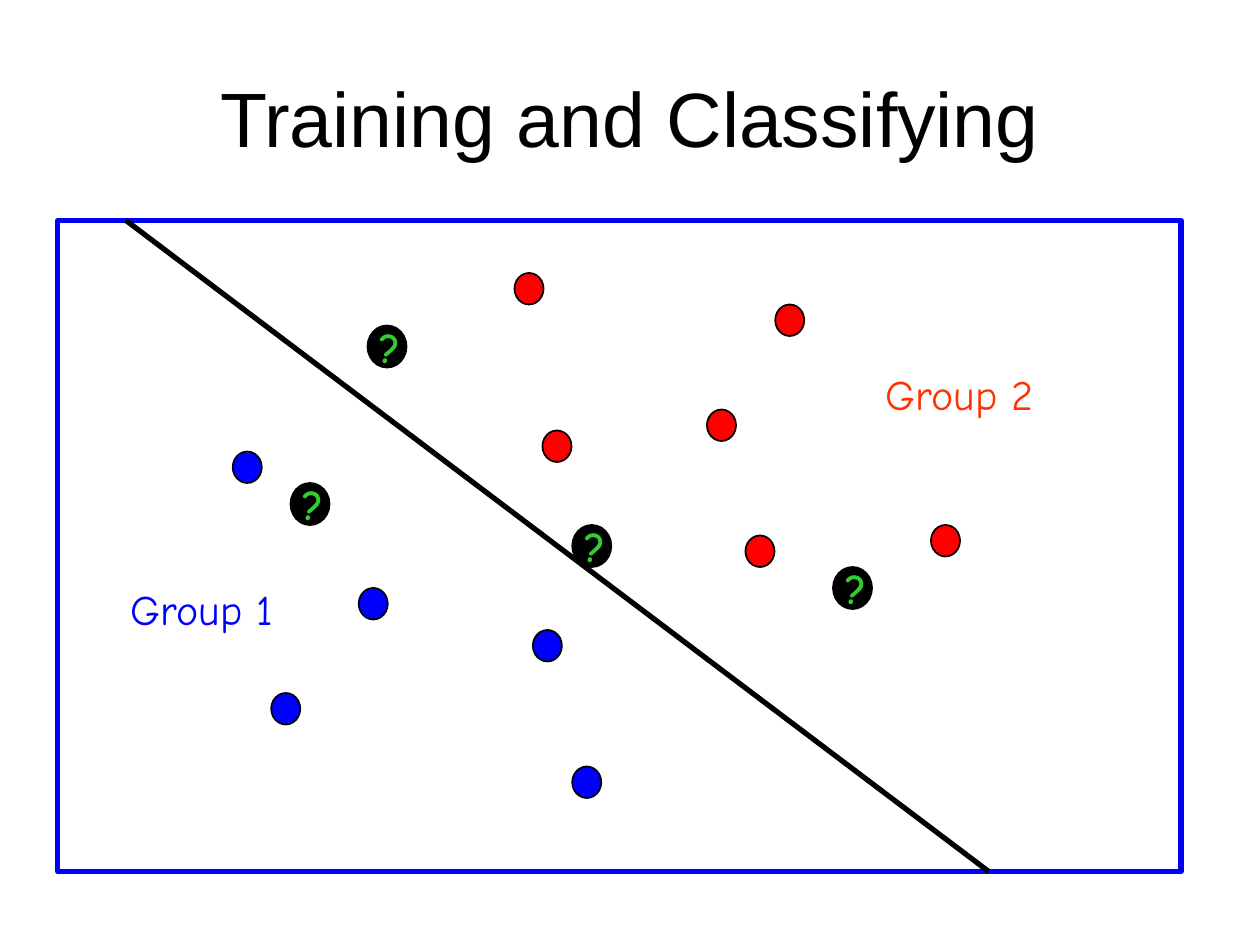
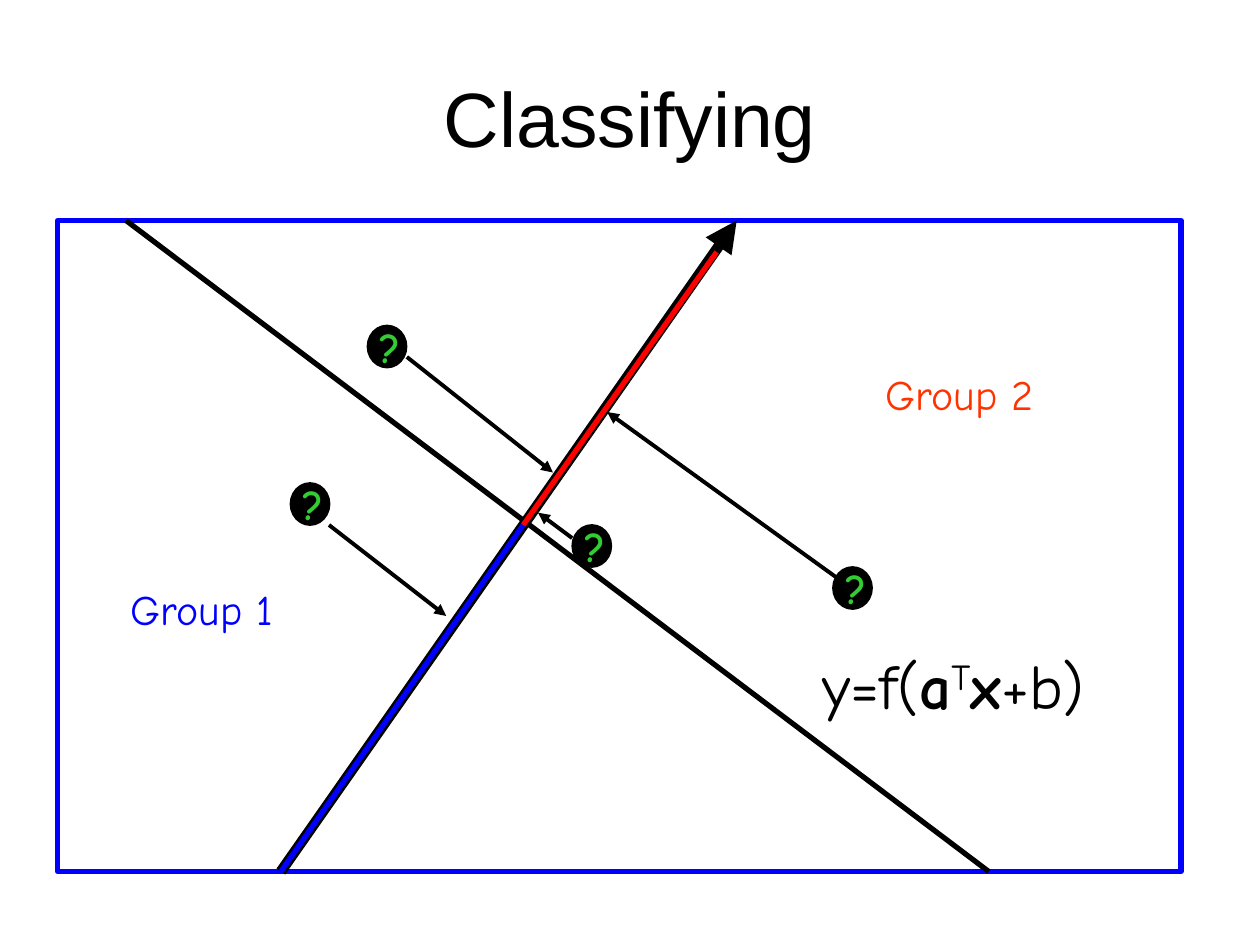
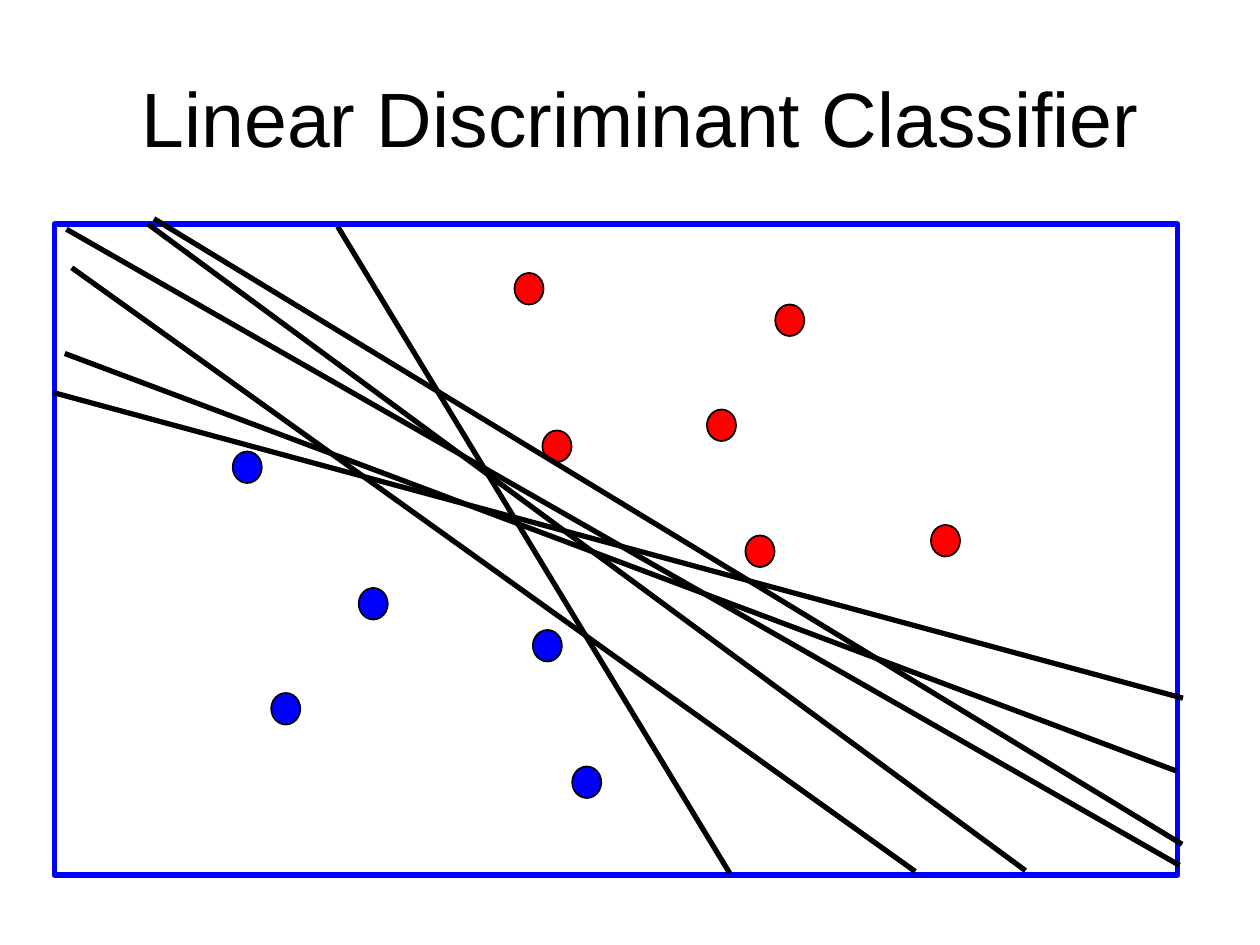
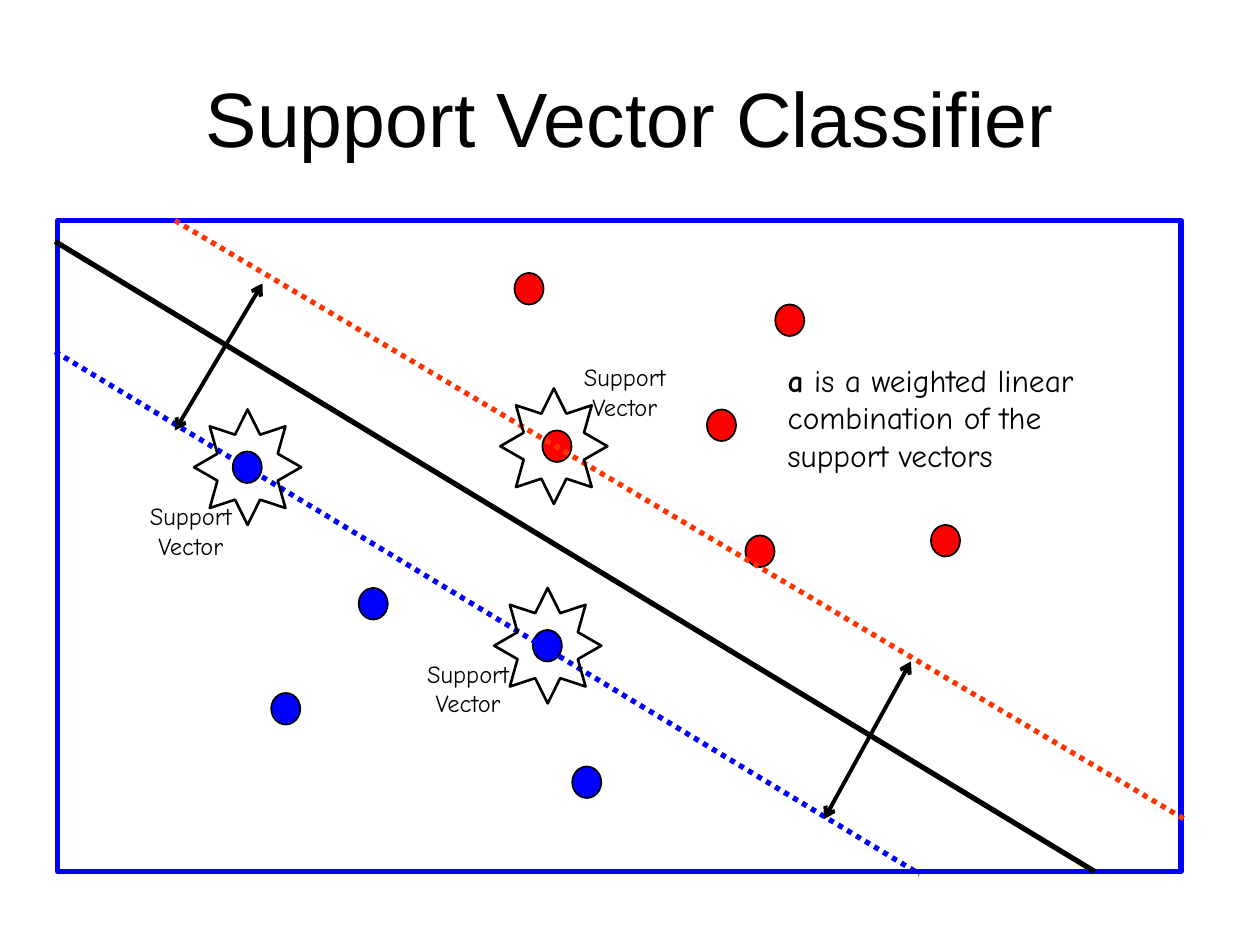
from math import cos, pi, sin

from lxml import etree
from pptx import Presentation
from pptx.dml.color import RGBColor
from pptx.enum.dml import MSO_LINE
from pptx.enum.shapes import MSO_CONNECTOR, MSO_SHAPE
from pptx.enum.text import MSO_ANCHOR, MSO_AUTO_SIZE, PP_ALIGN
from pptx.oxml.ns import qn
from pptx.util import Pt

RECT, OVAL = MSO_SHAPE.RECTANGLE, MSO_SHAPE.OVAL
STRAIGHT = MSO_CONNECTOR.STRAIGHT
DOTTED = MSO_LINE.ROUND_DOT
LEFT, CENTER = PP_ALIGN.LEFT, PP_ALIGN.CENTER
MIDDLE = MSO_ANCHOR.MIDDLE
GROW = MSO_AUTO_SIZE.SHAPE_TO_FIT_TEXT

BLACK = RGBColor(0, 0, 0)
WHITE = RGBColor(255, 255, 255)
RED = RGBColor(255, 0, 0)
BLUE = RGBColor(0, 0, 255)
ORANGE = RGBColor(255, 51, 0)
GREEN = RGBColor(51, 204, 51)

TITLE_FONT, TEXT_FONT = "Arial", "Comic Neue"

RED_DOTS = [(294, 156), (443, 174), (310, 246), (426, 306), (532, 300), (404, 234)]
BLUE_DOTS = [(205, 336), (327, 438), (304.5, 360), (155, 396), (133, 258)]
UNKNOWNS = [(166, 276), (210, 186), (476, 324), (327, 300)]
BOUNDARY = (72, 126, 565, 498)


class Deck:
    def __init__(self):
        self.prs = Presentation()
        self.prs.slide_width, self.prs.slide_height = Pt(720), Pt(540)
        self.s = None

    def slide(self, title, frame_x=33, frame_y=126):
        self.s = self.prs.slides.add_slide(self.prs.slide_layouts[5])
        sp = self.s.shapes.title
        sp.left, sp.top, sp.width, sp.height = Pt(36), Pt(21.6), Pt(648), Pt(90)
        tf = sp.text_frame
        tf.text = title
        tf.vertical_anchor = MIDDLE
        p = tf.paragraphs[0]
        p.alignment = CENTER
        self.font(p.font, 44, BLACK, TITLE_FONT)
        self.shape(RECT, frame_x, frame_y, 642, 372, WHITE, BLUE, 3)

    def font(self, font, size, color, name=TEXT_FONT):
        font.size, font.name = Pt(size), name
        font.color.rgb = color

    def shape(self, kind, x, y, w, h, fill, line=BLACK, weight=1, parent=None):
        shapes = (parent or self.s).shapes
        sp = shapes.add_shape(kind, Pt(x), Pt(y), Pt(w), Pt(h))
        sp.shadow.inherit = False
        sp.fill.solid()
        sp.fill.fore_color.rgb = fill
        sp.line.color.rgb = line
        sp.line.width = Pt(weight)

    def text(self, x, y, w, h, lines, size, color=BLACK, align=LEFT, wrap=True, parent=None):
        shapes = (parent or self.s).shapes
        tf = shapes.add_textbox(Pt(x), Pt(y), Pt(w), Pt(h)).text_frame
        tf.word_wrap = wrap
        tf.auto_size = GROW
        for i, runs in enumerate(lines):
            p = tf.add_paragraph() if i else tf.paragraphs[0]
            p.alignment = align
            self.font(p.font, size, color)
            for text, style in runs:
                r = p.add_run()
                r.text = text
                if style == "bold":
                    r.font.bold = True
                elif style == "super":
                    r.font._element.set("baseline", "30000")

    def line(self, x1, y1, x2, y2, color=BLACK, weight=3, dash=None, head=None, tail=None):
        c = self.s.shapes.add_connector(STRAIGHT, Pt(x1), Pt(y1), Pt(x2), Pt(y2))
        c.line.color.rgb = color
        c.line.width = Pt(weight)
        if dash:
            c.line.dash_style = dash
        ln = c.line._get_or_add_ln()
        for tag, kind in (("a:headEnd", head), ("a:tailEnd", tail)):
            if kind:
                etree.SubElement(ln, qn(tag)).set("type", kind)
        etree.SubElement(c._element.spPr, qn("a:effectLst"))

    def star(self, cx, cy, rx=30.6, ry=33, inner=0.61):
        points = []
        for i in range(16):
            k, a = (inner if i % 2 else 1), pi - i * pi / 8
            points.append((Pt(cx + k * rx * cos(a)), Pt(cy + k * ry * sin(a))))
        builder = self.s.shapes.build_freeform(*points[0])
        builder.add_line_segments(points[1:], close=True)
        sp = builder.convert_to_shape()
        sp.shadow.inherit = False
        sp.fill.background()
        sp.line.color.rgb = BLACK
        sp.line.width = Pt(1.5)

    def dots(self):
        for color, spots in ((RED, RED_DOTS), (BLUE, BLUE_DOTS)):
            for x, y in spots:
                self.shape(OVAL, x, y, 16.6, 18, color)

    def group_names(self):
        self.text(499, 207, 99, 36, [[("Group 2", None)]], 24, ORANGE, wrap=False)
        self.text(67.5, 330, 96.5, 36, [[("Group 1", None)]], 24, BLUE, wrap=False)

    def unknowns(self):
        for x, y in UNKNOWNS:
            g = self.s.shapes.add_group_shape()
            self.shape(OVAL, x, y, 22.3, 24, BLACK, parent=g)
            self.text(x, y - 6, 33, 36, [[("?", "bold")]], 24, GREEN, parent=g)


def training(d):
    d.slide("Training and Classifying")
    d.dots()
    d.line(*BOUNDARY)
    d.group_names()
    d.unknowns()


def classifying(d):
    d.slide("Classifying")
    d.line(*BOUNDARY)
    d.group_names()
    d.unknowns()
    d.line(160.5, 498, 421, 126, weight=6, tail="triangle")
    for projection in [(188, 300, 255, 352), (232.5, 204, 316, 270),
                       (327, 307.5, 307.5, 293), (478, 330, 347, 235.5)]:
        d.line(*projection, weight=2.25, tail="triangle")
    d.line(160.5, 498, 299, 300, BLUE)
    d.line(299, 300, 409.5, 144, RED)
    formula = [("y=f(", None), ("a", "bold"), ("T", "super"), ("x", "bold"), ("+b)", None)]
    d.text(463, 366, 214, 50.5, [formula], 36)


def linear_discriminant(d):
    d.slide(" Linear Discriminant Classifier", 31, 128)
    d.dots()
    for candidate in [(84.5, 128, 586, 497.5), (37, 202, 672, 440.5),
                      (193, 129.5, 417, 499), (38, 131, 674, 494.5),
                      (31, 224.5, 676, 399), (41, 153, 523, 498),
                      (88, 125, 675.5, 482.5)]:
        d.line(*candidate)


def support_vector(d):
    d.slide("Support Vector Classifier")
    d.dots()
    d.line(100, 126, 677.5, 468.5, ORANGE, dash=DOTTED)
    d.line(31.5, 201, 525.5, 499.5, BLUE, dash=DOTTED)
    d.line(31.5, 138, 625.5, 498)
    for margin in [(100, 246, 150, 162), (471, 468, 520.5, 378)]:
        d.line(*margin, weight=2.25, head="arrow", tail="arrow")
    for center in [(141.5, 267), (313, 369), (316.5, 255)]:
        d.star(*center)
    for x, y in [(72, 283), (230.5, 373), (320, 203.5)]:
        d.text(x, y, 74, 41, [[("Support", None)], [("Vector", None)]], 14, align=CENTER)
    note = [("a", "bold"),
            (" is a weighted linear combination of the support vectors", None)]
    d.text(443, 202.5, 222, 72, [note], 18)


def main():
    d = Deck()
    for build in (training, classifying, linear_discriminant, support_vector):
        build(d)
    d.prs.save("out.pptx")


if __name__ == "__main__":
    main()
